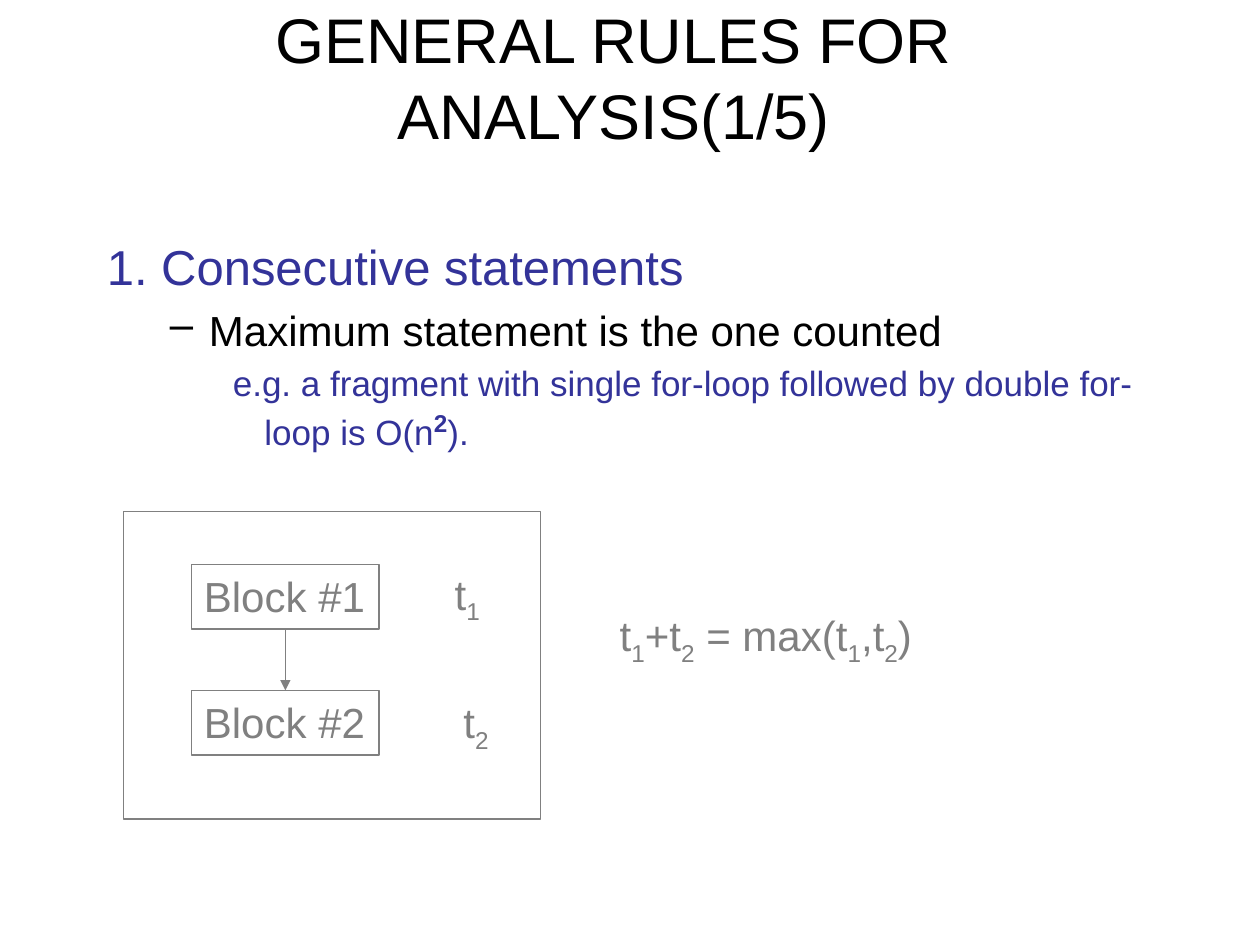
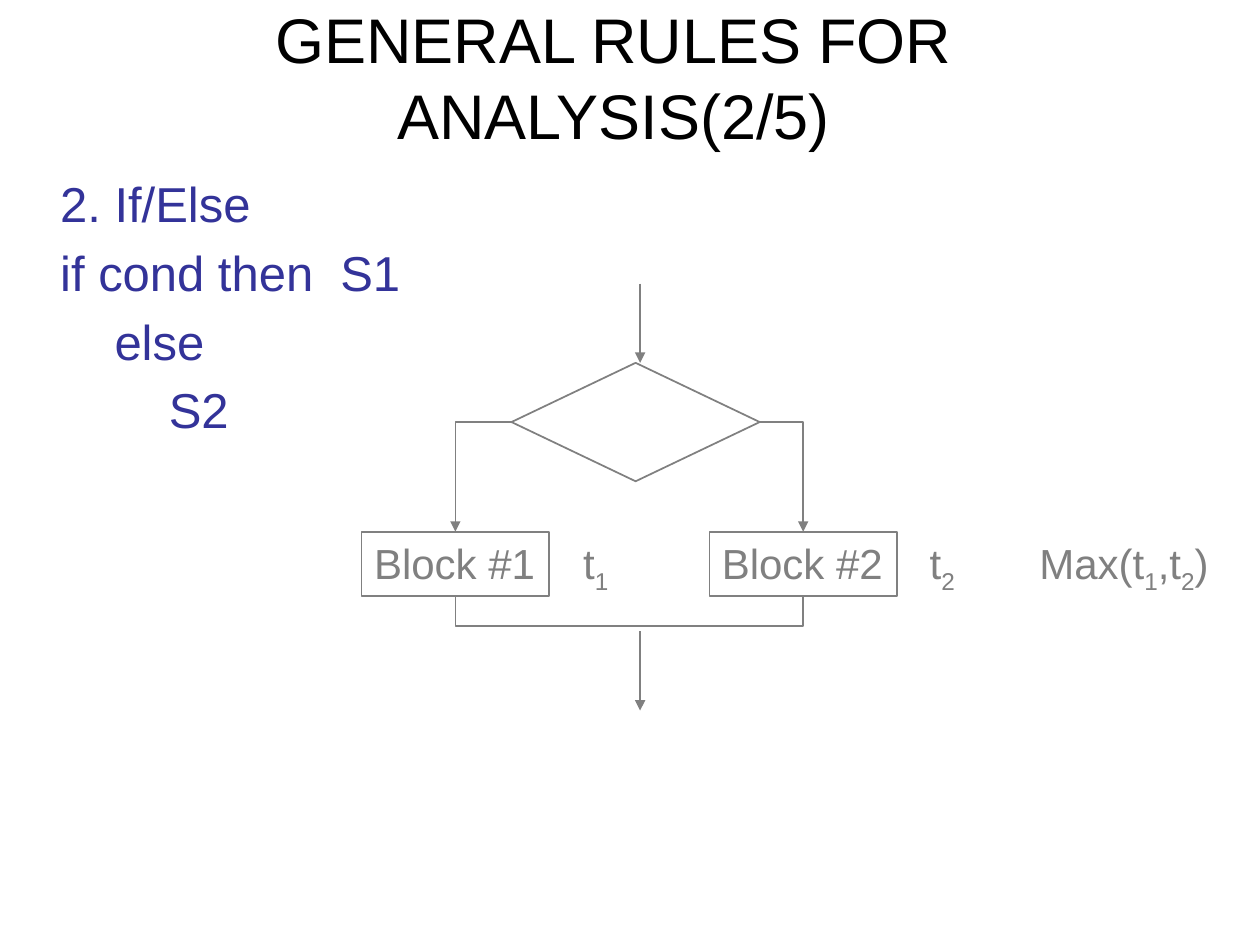
from lxml.etree import SubElement
from pptx import Presentation
from pptx.dml.color import RGBColor
from pptx.enum.shapes import MSO_CONNECTOR, MSO_SHAPE
from pptx.enum.text import MSO_ANCHOR, MSO_AUTO_SIZE, PP_ALIGN
from pptx.oxml.ns import qn
from pptx.util import Inches, Pt

FONT = "Arial"
BLACK, BLUE, GRAY = "000000", "333399", "808080"
BLOCK_WIDTH, BLOCK_HEIGHT = 1.49, 0.51
LABEL_HEIGHT = 0.5


def write(frame, text, size=24, color=GRAY, align=PP_ALIGN.LEFT, before=0, margin=0, hanging=0,
          bullet=None, script=-25, script_size=None, script_bold=False):
    paragraph = frame.paragraphs[0]
    if paragraph.runs:
        paragraph = frame.add_paragraph()
        paragraph.space_before = Pt(before)
    paragraph.alignment = align
    properties = paragraph._p.get_or_add_pPr()
    properties.set("marL", str(Inches(margin)))
    properties.set("indent", str(-Inches(hanging)))
    if bullet:
        SubElement(properties, qn("a:buChar")).set("char", bullet)
    else:
        SubElement(properties, qn("a:buNone"))
    for index, piece in enumerate(text.split("|")):
        is_script = index % 2 == 1
        run = paragraph.add_run()
        run.text = piece
        run.font.name = FONT
        run.font.size = Pt(script_size if is_script and script_size else size)
        run.font.bold = is_script and script_bold
        run.font.color.rgb = RGBColor.from_string(color)
        if is_script:
            run._r.get_or_add_rPr().set("baseline", str(script * 1000))


def outline(shape, arrow=False):
    shape.line.color.rgb = RGBColor.from_string(GRAY)
    shape.line.width = Pt(1)
    if arrow:
        SubElement(shape.line._get_or_add_ln(), qn("a:tailEnd")).set("type", "triangle")
    SubElement(shape._element.spPr, qn("a:effectLst"))


presentation = Presentation()
presentation.slide_width, presentation.slide_height = Inches(10), Inches(7.5)
column = presentation.slide_width // 10
row = presentation.slide_height / 7.5

pages = [
    ("GENERAL RULES FOR ANALYSIS(1/5)", (0.75, 1.83, 8.5, 5.25), [
        ("1. Consecutive statements", dict(size=28, color=BLUE, margin=0.38, hanging=0.38)),
        ("Maximum statement is the one counted",
         dict(size=24, color=BLACK, margin=0.81, hanging=0.31, bullet="–", before=4.8)),
        ("e.g. a fragment with single for-loop followed by double for- loop is O(n|2|).",
         dict(size=20, color=BLUE, margin=1.25, hanging=0.25, before=4,
              script=30, script_size=24, script_bold=True)),
    ]),
    ("GENERAL RULES FOR ANALYSIS(2/5)", (0.38, 1.33, 9, 5.55), [
        (line, dict(size=28, color=BLUE, margin=0.38, hanging=0.38, before=5.6))
        for line in ("2. If/Else", "if cond then  S1", "    else", "        S2")
    ]),
]
slides = []
for heading, (left, top, width, height), lines in pages:
    slide = presentation.slides.add_slide(presentation.slide_layouts[5])
    slides.append(slide)
    title = slide.shapes.title
    title.left, title.top = int(0.37 * column), int(0.11 * row)
    title.width, title.height = int(9 * column), int(0.99 * row)
    title.text_frame.auto_size = MSO_AUTO_SIZE.NONE
    title.text_frame.vertical_anchor = MSO_ANCHOR.MIDDLE
    write(title.text_frame, heading, size=36, color=BLACK, align=PP_ALIGN.CENTER)
    body = slide.shapes.add_textbox(int(left * column), int(top * row),
                                    int(width * column), int(height * row))
    body.text_frame.word_wrap = True
    for line, style in lines:
        write(body.text_frame, line, **style)
sequence, branch = slides

outlines = [
    (sequence, MSO_SHAPE.RECTANGLE, "", 0.98, 4.06, 3.31, 2.44),
    (sequence, MSO_SHAPE.RECTANGLE, "Block #1", 1.52, 4.48, BLOCK_WIDTH, BLOCK_HEIGHT),
    (sequence, MSO_SHAPE.RECTANGLE, "Block #2", 1.52, 5.48, BLOCK_WIDTH, BLOCK_HEIGHT),
    (branch, MSO_SHAPE.FLOWCHART_DECISION, "", 4.06, 2.88, 1.97, 0.94),
    (branch, MSO_SHAPE.RECTANGLE, "Block #1", 2.87, 4.22, BLOCK_WIDTH, BLOCK_HEIGHT),
    (branch, MSO_SHAPE.RECTANGLE, "Block #2", 5.63, 4.22, BLOCK_WIDTH, BLOCK_HEIGHT),
]
shapes = []
for slide, kind, text, left, top, width, height in outlines:
    shape = slide.shapes.add_shape(kind, int(left * column), int(top * row),
                                   int(width * column), int(height * row))
    shape.fill.background()
    outline(shape)
    if text:
        shape.text_frame.word_wrap = False
        shape.text_frame.vertical_anchor = MSO_ANCHOR.TOP
        write(shape.text_frame, text)
    shapes.append(shape)
frame, first_block, second_block, decision, then_block, else_block = shapes

labels = [
    (sequence, "t|1|", 3.51, 4.46, 0.42),
    (sequence, "t|2|", 3.58, 5.48, 0.42),
    (sequence, "t|1|+t|2| = max(t|1|,t|2|)", 4.82, 4.79, 2.58),
    (branch, "t|1|", 4.53, 4.22, 0.42),
    (branch, "t|2|", 7.28, 4.22, 0.42),
    (branch, "Max(t|1|,t|2|)", 8.15, 4.22, 1.58),
]
for slide, text, left, top, width in labels:
    label = slide.shapes.add_textbox(int(left * column), int(top * row),
                                     int(width * column), int(LABEL_HEIGHT * row))
    label.text_frame.word_wrap = False
    write(label.text_frame, text.removesuffix("|"))

step = sequence.shapes.add_connector(MSO_CONNECTOR.STRAIGHT, 0, 0, 0, 0)
step.begin_connect(first_block, 2)
step.end_connect(second_block, 0)
outline(step, arrow=True)

for top, bottom in ((2.25, 2.88), (5.01, 5.64)):
    flow = branch.shapes.add_connector(MSO_CONNECTOR.STRAIGHT, int(5.08 * column), int(top * row),
                                       int(5.08 * column), int(bottom * row))
    outline(flow, arrow=True)

for block, side in ((then_block, 1), (else_block, 3)):
    elbow = branch.shapes.add_connector(MSO_CONNECTOR.ELBOW, 0, 0, 0, 0)
    elbow.begin_connect(decision, side)
    elbow.end_connect(block, 0)
    elbow._element.spPr.find(qn("a:prstGeom")).set("prst", "bentConnector2")
    outline(elbow, arrow=True)

then_middle, else_middle = (block.left + block.width // 2 for block in (then_block, else_block))
block_bottom = then_block.top + then_block.height
merge_level = int(4.97 * row)
builder = branch.shapes.build_freeform(then_middle, block_bottom)
builder.add_line_segments([(then_middle, merge_level), (else_middle, merge_level),
                           (else_middle, block_bottom)], close=False)
merge = builder.convert_to_shape()
merge.fill.background()
outline(merge)

presentation.save("out.pptx")
